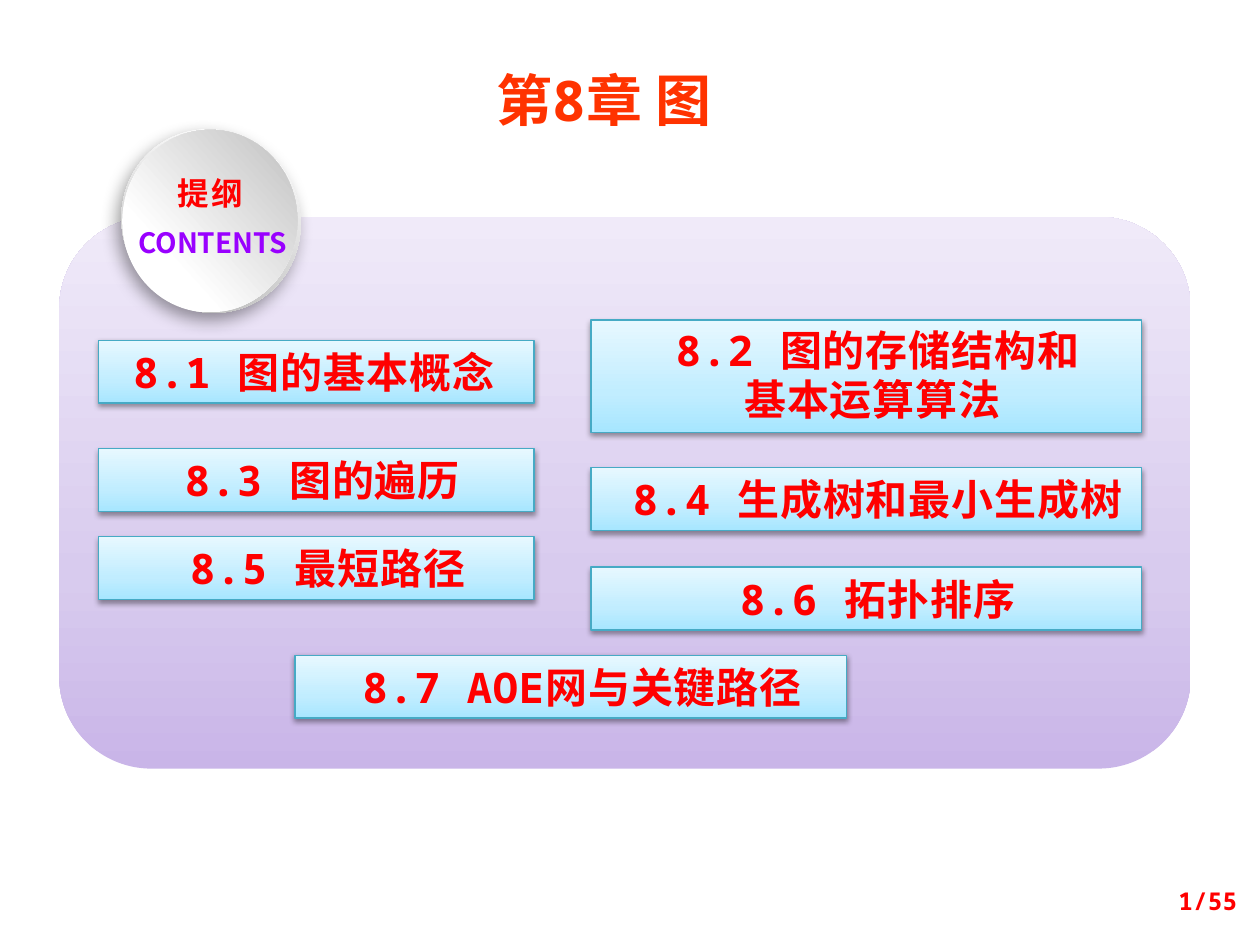
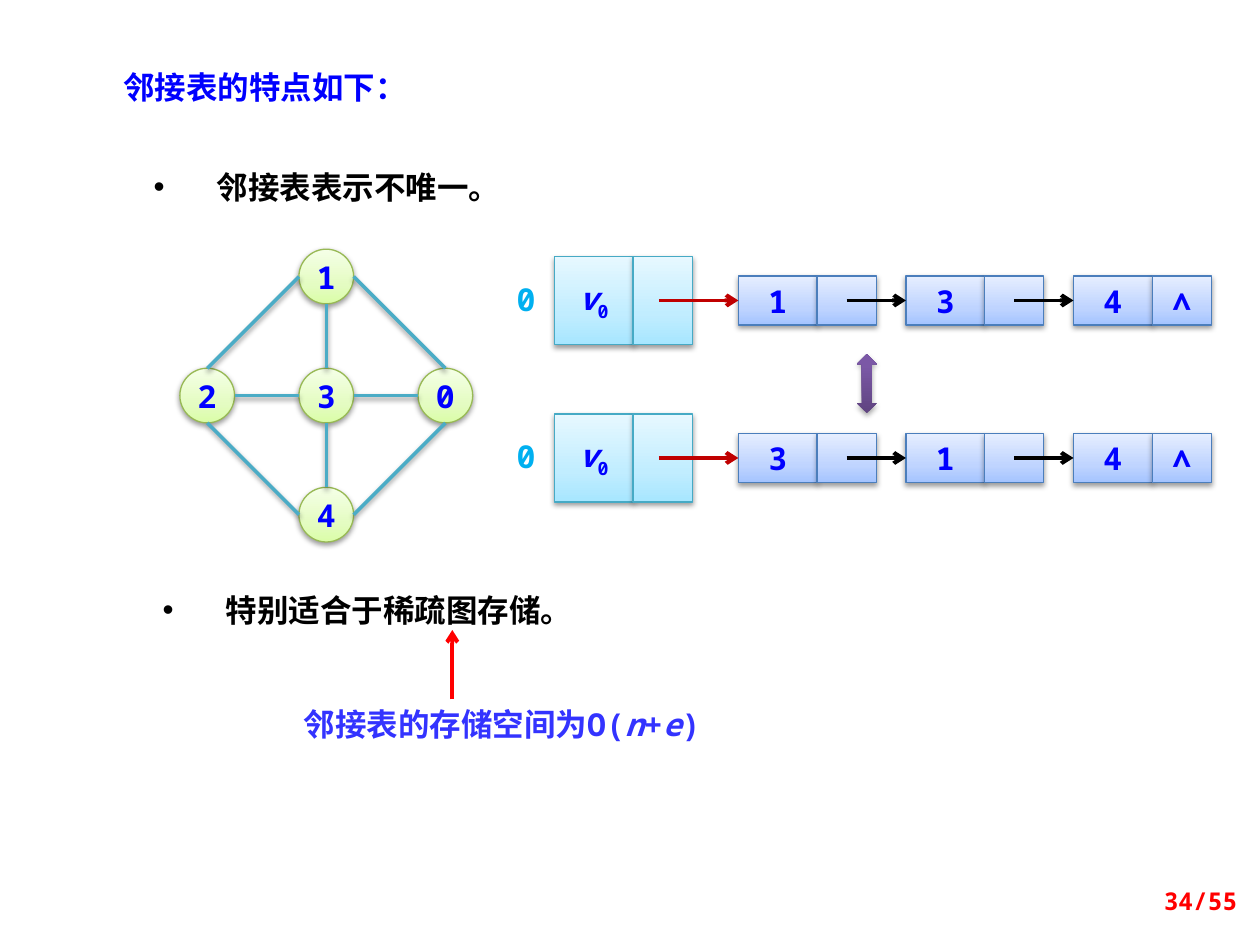
"""Build two slides on graphs: a chapter outline and the traits of adjacency lists."""
from lxml import etree
from pptx import Presentation
from pptx.dml.color import RGBColor
from pptx.enum.shapes import MSO_CONNECTOR, MSO_SHAPE
from pptx.enum.text import MSO_ANCHOR, MSO_AUTO_SIZE, PP_ALIGN
from pptx.oxml import parse_xml
from pptx.oxml.ns import nsdecls, qn
from pptx.util import Inches, Pt

RECT, OVAL = MSO_SHAPE.RECTANGLE, MSO_SHAPE.OVAL
ROUND, UPDOWN = MSO_SHAPE.ROUNDED_RECTANGLE, MSO_SHAPE.UP_DOWN_ARROW
LINE = MSO_CONNECTOR.STRAIGHT
LEFT, MID, RIGHT, JUST = PP_ALIGN.LEFT, PP_ALIGN.CENTER, PP_ALIGN.RIGHT, PP_ALIGN.JUSTIFY
TOP, MIDDLE = MSO_ANCHOR.TOP, MSO_ANCHOR.MIDDLE
GROW, FIXED = MSO_AUTO_SIZE.SHAPE_TO_FIT_TEXT, MSO_AUTO_SIZE.NONE


class Theme:
    sans, mono = "Noto Sans CJK SC", "Noto Sans Mono"
    title, item, body, small, page = 32, 24, 18, 16, 14
    white, black, red, orange = "FFFFFF", "000000", "FF0000", "FF3300"
    blue, sky, iris, violet = "0000FF", "00B0F0", "3333FF", "9900FF"
    crimson, edge = "C00000", "4BACC6"
    panel = (270, (0, "C9B5E8"), (35, "D8CBEE"), (100, "F0EAF9"))
    aqua = (270, (0, "A7E6FF"), (35, "C1EDFF"), (100, "E7F8FF"))
    steel = (270, (0, "A4C4FF"), (35, "BFD4FF"), (100, "E6EEFF"))
    lime = (270, (0, "DAFDA7"), (35, "E4FCC2"), (100, "F5FFE7"))
    plum = (270, (0, "5F4480"), (80, "7B58A6"), (100, "7C57A8"))
    rim = (45, (17, "FFFFFF"), (88, "B8B8B8"))
    disc = (45, (29, "FFFFFF"), (98, "BFBFBF"))
    aqua_line, steel_line, lime_line = "46AAC5", "4B7EBC", "98B955"
    soft, deep = (38, 3.1, 1.6, 90), (39, 10, 5, 123)


GLOW = ('<a:outerShdw {} blurRad="{:.0f}" dist="{:.0f}" dir="{}" rotWithShape="0">'
        '<a:srgbClr val="000000"><a:alpha val="{}"/></a:srgbClr></a:outerShdw>')
deck = Presentation()
deck.slide_width, deck.slide_height = Inches(10), Inches(7.5)
CELL = deck.slide_width // 100


def form(slide, kind, box, fill=None, line=None, width=0.75, glow=None, turn=0):
    """Add a shape on the grid of 100 columns by 75 rows."""
    shape = slide.shapes.add_shape(kind, *(round(v * CELL) for v in box))
    shape.rotation = turn
    if line:
        shape.line.color.rgb = RGBColor.from_string(line)
        shape.line.width = Pt(width)
    else:
        shape.line.fill.background()
    shape.fill.background()
    props = shape.element.spPr
    if isinstance(fill, str):
        shape.fill.solid()
        shape.fill.fore_color.rgb = RGBColor.from_string(fill)
    elif fill:
        stops = "".join(f'<a:gs pos="{p * 1000}"><a:srgbClr val="{c}"/></a:gs>'
                        for p, c in fill[1:])
        props.replace(props.find(qn("a:noFill")), parse_xml(
            f'<a:gradFill {nsdecls("a")} rotWithShape="1"><a:gsLst>{stops}</a:gsLst>'
            f'<a:lin ang="{fill[0] * 60000}" scaled="0"/></a:gradFill>'))
    shape.shadow.inherit = False
    if glow:
        alpha, blur, gap, way = glow
        props.find(qn("a:effectLst")).append(parse_xml(GLOW.format(
            nsdecls("a"), Pt(blur), Pt(gap), way * 60000, alpha * 1000)))
    return shape


def write(shape, text, size=Theme.body, color=Theme.blue, font=Theme.mono, align=MID,
          anchor=TOP, wrap=True, fit=GROW, pad=(1, 0.5, 1, 0.5), hang=0, mark=None,
          lead=None, track=0):
    """Fill a shape with text, given as lines or as a list of (words, style) runs."""
    frame = shape.text_frame
    frame.word_wrap, frame.auto_size, frame.vertical_anchor = wrap, fit, anchor
    (frame.margin_left, frame.margin_top, frame.margin_right,
     frame.margin_bottom) = (round(v * CELL) for v in pad)
    rows = [[(row, "")] for row in text.split("\n")] if isinstance(text, str) else [text]
    for i, row in enumerate(rows):
        para = frame.add_paragraph() if i else frame.paragraphs[0]
        para.alignment = align
        if lead:
            para.line_spacing = Pt(lead)
        props = para._p.get_or_add_pPr()
        if hang:
            props.set("marL", str(hang * CELL))
            props.set("indent", str(-hang * CELL))
        if mark:
            etree.SubElement(props, qn("a:buFont")).set("typeface", "Arial")
            etree.SubElement(props, qn("a:buChar")).set("char", mark)
        for words, style in row:
            run = para.add_run()
            run.text = words
            run.font.size, run.font.bold = Pt(size), True
            run.font.italic = style == "italic"
            run.font.color.rgb = RGBColor.from_string(color)
            run.font.name = font
            look = run._r.get_or_add_rPr()
            etree.SubElement(look, qn("a:ea")).set("typeface", Theme.sans)
            if style == "sub":
                look.set("baseline", "-25000")
            if track:
                look.set("spc", str(round(track * 100)))


plan, traits = (deck.slides.add_slide(deck.slide_layouts[6]) for _ in range(2))

form(plan, ROUND, (4.7, 17.2, 89.8, 43.8), Theme.panel)
head = form(plan, RECT, (33.6, 4.7, 29.7, 6.4), Theme.white, Theme.white, 2)
write(head, "第8章 图 ", size=Theme.title, color=Theme.orange, hang=5)

form(plan, OVAL, (9.4, 10.5, 14.7, 14.1), Theme.rim, glow=Theme.deep, turn=62.3)
form(plan, OVAL, (9.4, 10.6, 14.5, 13.9), Theme.disc, turn=273)
write(form(plan, RECT, (8.8, 17.4, 16.2, 3.7)), "CONTENTS",
      size=Theme.small, color=Theme.violet, font=Theme.sans)
write(form(plan, RECT, (12.7, 13.3, 8, 4)), "提纲",
      color=Theme.red, font=Theme.sans, track=1.5)

NEAR, FAR, LAST = (7.8, 34.6), (46.9, 43.7), (23.4, 43.8)
for (x, wide), y, tall, text in (
        (NEAR, 27, 5, "8.1 图的基本概念"),
        (FAR, 25.4, 8.9, "8.2 图的存储结构和\n基本运算算法 "),
        (NEAR, 35.6, 5, "8.3 图的遍历 "),
        (FAR, 37.1, 5, "8.4 生成树和最小生成树"),
        (NEAR, 42.6, 5, "8.5 最短路径"),
        (FAR, 45, 5, "8.6 拓扑排序"),
        (LAST, 52, 5, "8.7 AOE网与关键路径")):
    item = form(plan, RECT, (x, y, wide, tall), Theme.aqua, Theme.aqua_line, glow=Theme.soft)
    write(item, text, size=Theme.item, color=Theme.red, track=0.5,
          pad=(2.8, 0.5, 1, 0.5), align=LEFT if "8.1" in text else MID,
          lead=28 if "\n" in text else None)

write(form(traits, RECT, (8.8, 4.9, 47.4, 4)), "邻接表的特点如下：",
      font=Theme.sans, align=JUST)
for x, y, text in ((10.2, 12.5, "邻接表表示不唯一。"),
                   (10.9, 46.1, "特别适合于稀疏图存储。")):
    write(form(traits, RECT, (x, y, 39.1, 4.6), Theme.white), text, color=Theme.black,
          font=Theme.sans, align=JUST, pad=(2, 0.8, 1, 0.8), hang=5, mark="•")

CORE = {"anchor": MIDDLE, "wrap": False, "fit": FIXED}
DATA, LINK, TALL, STEP = 6.25, 4.7, 3.9, 13.3
links = []
for mid, keys in ((23.85, "134"), (36.35, "314")):
    for i, key in enumerate(keys):
        x = 58.6 + i * STEP
        data, link = (form(traits, RECT, (left, mid - TALL / 2, wide, TALL), Theme.steel,
                           Theme.steel_line, glow=Theme.soft)
                      for left, wide in ((x, DATA), (x + DATA, LINK)))
        write(data, key, **CORE)
        if i == len(keys) - 1:
            write(link, "∧", **CORE)
        tint, start = (Theme.black, x - 4.7) if i else (Theme.crimson, x - 6.3)
        links.append(((start, mid), (x, mid), tint, 2.25, True, data))
    vert, point = (form(traits, RECT, (left, mid - 3.5, wide, 7), Theme.aqua,
                        Theme.aqua_line, glow=Theme.soft)
                   for left, wide in ((44, DATA), (44 + DATA, LINK)))
    write(vert, [("v", "italic"), ("0", "sub")], **CORE)
    write(form(traits, RECT, (39.8, mid - 1.65, 3.9, 3)), "0",
          color=Theme.sky, pad=(0, 0, 0, 0))
form(traits, UPDOWN, (68, 28.1, 1.6, 4.7), Theme.plum, glow=(35, 3.1, 1.8, 90))

links.append(((35.9, 55.5), (35.9, 50), Theme.red, 2.25, True, None))
write(form(traits, RECT, (17.2, 55.5, 45.3, 4)),
      [("邻接表的存储空间为O(", ""), ("n", "italic"), ("+", ""), ("e", "italic"), (")", "")],
      color=Theme.iris)

RAD, SPAN = 2.17, 9.45
nodes = {key: (25.9 + a * SPAN, 31.4 + b * SPAN) for key, a, b in (
    ("1", 0, -1), ("3", 0, 0), ("2", -1, 0), ("0", 1, 0), ("4", 0, 1))}
sides = {"l": (-RAD, 0), "r": (RAD, 0), "t": (0, -RAD), "b": (0, RAD)}
for key, (x, y) in nodes.items():
    node = form(traits, OVAL, (x - RAD, y - RAD, 2 * RAD, 2 * RAD), Theme.lime,
                Theme.lime_line, glow=Theme.soft)
    write(node, key, **CORE)
for a, p, b, q in "1l2t 1r0t 2r3l 3r0l 1b3t 2b4l 4r0b 3b4t".split():
    ends = [tuple(map(sum, zip(nodes[n], sides[s]))) for n, s in ((a, p), (b, q))]
    links.append((*ends, Theme.edge, 2, False, None))

for start, end, tint, width, arrow, goal in links:
    wire = traits.shapes.add_connector(LINE, *(round(v * CELL) for v in start + end))
    if goal:
        wire.end_connect(goal, 1)
    wire.line.color.rgb = RGBColor.from_string(tint)
    wire.line.width = Pt(width)
    props = wire.element.spPr
    effect = etree.SubElement(props, qn("a:effectLst"))
    if arrow:
        etree.SubElement(props.find(qn("a:ln")), qn("a:tailEnd")).set("type", "arrow")
    else:
        alpha, blur, gap, way = Theme.soft
        effect.append(parse_xml(GLOW.format(
            nsdecls("a"), Pt(blur), Pt(gap), way * 60000, alpha * 1000)))

for slide, number in ((plan, 1), (traits, 34)):
    write(form(slide, RECT, (75.9, 69.5, 23.3, 4)), f"{number}/55", size=Theme.page,
          color=Theme.red, align=RIGHT, anchor=MIDDLE, fit=FIXED)

deck.save("out.pptx")
